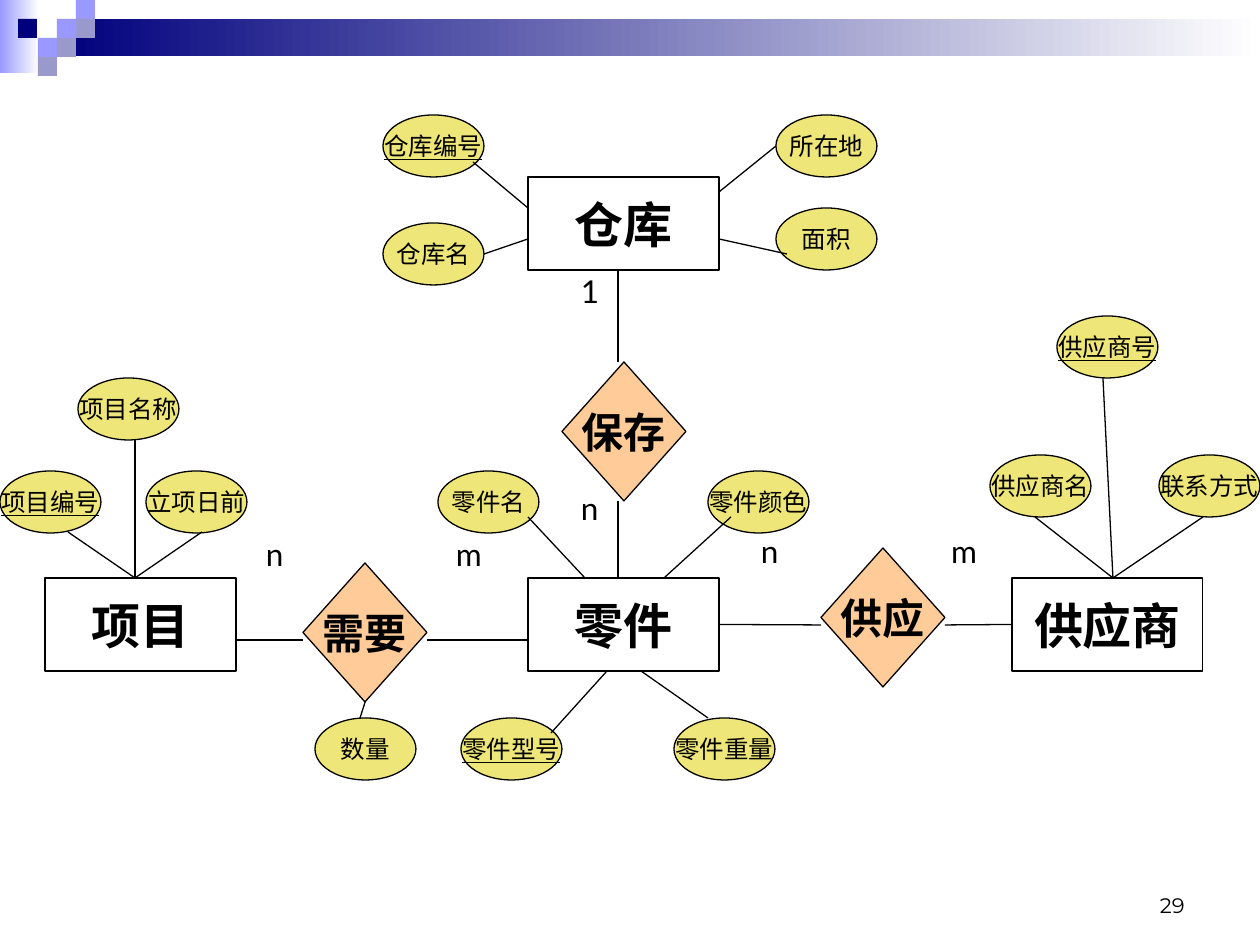
from dataclasses import dataclass

from lxml.etree import SubElement
from pptx import Presentation
from pptx.dml.color import RGBColor as RGB
from pptx.enum.shapes import MSO_CONNECTOR as Conn, MSO_SHAPE as Kind
from pptx.enum.text import MSO_ANCHOR as Anchor, MSO_AUTO_SIZE as Auto, PP_ALIGN as Align
from pptx.oxml.ns import qn
from pptx.util import Emu, Pt

SCALE = 914400 // 126


@dataclass(frozen=True)
class Theme:
    ink: str = "000000"
    paper: str = "FFFFFF"
    oval: str = "EEE678"
    diamond: str = "FFCC99"
    navy: str = "00007D"
    violet: str = "9999FF"
    slate: str = "9999CC"
    font: str = "Lato"
    page_font: str = "Montserrat"
    entity_size: int = 28
    link_size: int = 24
    label_size: int = 18
    oval_size: int = 14
    page_size: int = 12
    line: float = 0.75


THEME = Theme()
SQUARE = 19
OVAL = (101, 62)
DIAMOND = (124, 139)
ENTITY = (191, 93)

SQUARES = [
    (57, 19, THEME.violet), (76, 0, THEME.violet), (76, 19, THEME.slate),
    (38, 38, THEME.violet), (18, 19, THEME.navy), (57, 38, THEME.slate),
    (38, 57, THEME.slate),
]
ENTITIES = [("项目", 45, 578), ("仓库", 528, 177), ("零件", 528, 578), ("供应商", 1012, 578)]
LINKS = [("保存", 562, 362), ("供应", 821, 548), ("需要", 303, 563)]
KEYS = {"项目编号", "零件型号", "供应商号", "仓库编号"}
OVALS = [
    ("项目编号", 0, 471), ("项目名称", 78, 378), ("立项日前", 146, 471),
    ("零件名", 438, 471), ("零件颜色", 708, 471),
    ("零件型号", 461, 718), ("零件重量", 674, 718), ("数量", 315, 718),
    ("供应商名", 990, 455), ("供应商号", 1057, 316), ("联系方式", 1159, 455),
    ("仓库编号", 383, 115), ("仓库名", 383, 223), ("所在地", 776, 115), ("面积", 776, 208),
]
LABELS = [
    ("1", 581, 272, 18), ("n", 581, 489, 20), ("n", 266, 535, 20),
    ("m", 456, 535, 29), ("n", 761, 532, 20), ("m", 951, 532, 29),
]
LINES = [
    # relations
    (618, 362, 618, 270), (618, 501, 618, 578), (303, 640, 236, 640), (427, 640, 528, 640),
    # project
    (135, 440, 135, 578), (68, 532, 135, 578), (202, 532, 135, 578),
    # part
    (551, 733, 607, 671), (528, 517, 585, 578), (664, 578, 731, 517), (641, 671, 708, 718),
    # supplier
    (1103, 378, 1113, 578), (1035, 517, 1113, 578), (1113, 578, 1203, 517),
    # store
    (473, 162, 528, 208), (484, 254, 528, 239), (719, 192, 776, 146), (719, 239, 787, 254),
]


def px(*vals):
    return [Emu(val * SCALE) for val in vals]


def apply(item, form):
    for name, val in form.items():
        setattr(item, name, val)


def write(frame, text, size, align, font=THEME.font, **form):
    para = frame.paragraphs[0]
    para.alignment = align
    run = para.add_run()
    run.text = text
    apply(run.font, {"name": font, "size": Pt(size), **form})
    run.font.color.rgb = RGB.from_string(THEME.ink)


def tighten(frame, **form):
    """Clear the insets and keep the text on one line."""
    sides = ("left", "top", "right", "bottom")
    apply(frame, {f"margin_{side}": 0 for side in sides})
    apply(frame, {"word_wrap": False, **form})


def add_block(slide, box, color, fade=False):
    """Add an unlined rectangle, fading to paper on the right if asked."""
    block = slide.shapes.add_shape(Kind.RECTANGLE, *px(*box))
    block.shadow.inherit = False
    block.line.fill.background()
    if fade:
        block.fill.gradient()
        block.fill.gradient_angle = 0
        for stop, tone, pos in zip(block.fill.gradient_stops, (color, THEME.paper), (0, 1)):
            stop.color.rgb = RGB.from_string(tone)
            stop.position = pos
    else:
        block.fill.solid()
        block.fill.fore_color.rgb = RGB.from_string(color)


def add_node(slide, kind, box, color, text, size, **form):
    node = slide.shapes.add_shape(kind, *px(*box))
    node.shadow.inherit = False
    node.fill.solid()
    node.fill.fore_color.rgb = RGB.from_string(color)
    node.line.color.rgb = RGB.from_string(THEME.ink)
    node.line.width = Pt(THEME.line)
    tighten(node.text_frame, vertical_anchor=Anchor.MIDDLE)
    write(node.text_frame, text, size, Align.CENTER, **form)
    return node


def add_line(slide, *ends):
    line = slide.shapes.add_connector(Conn.STRAIGHT, *px(*ends))
    line.line.color.rgb = RGB.from_string(THEME.ink)
    line.line.width = Pt(THEME.line)
    SubElement(line._element.spPr, qn("a:effectLst"))
    return line


def add_label(slide, text, left, top, width):
    frame = slide.shapes.add_textbox(*px(left, top, width, 38)).text_frame
    tighten(frame, auto_size=Auto.SHAPE_TO_FIT_TEXT)
    write(frame, text, THEME.label_size, Align.LEFT)


def add_page(slide, text):
    frame = slide.shapes.add_textbox(*px(903, 861, 294, 63)).text_frame
    apply(frame, {"word_wrap": True, "vertical_anchor": Anchor.BOTTOM})
    write(frame, text, THEME.page_size, Align.RIGHT, THEME.page_font)


def add_banner(slide):
    add_block(slide, (0, 0, 39, 73), THEME.violet, fade=True)
    add_block(slide, (57, 19, 1203, 37), THEME.navy, fade=True)
    for left, top, color in SQUARES:
        add_block(slide, (left, top, SQUARE, SQUARE), color)


def main():
    deck = Presentation()
    deck.slide_width, deck.slide_height = px(1260, 945)
    slide = deck.slides.add_slide(deck.slide_layouts[6])
    add_banner(slide)
    add_page(slide, "29")

    add_line(slide, 370, 687, 360, 718)  # runs under the diamond
    for text, *spot in OVALS:
        add_node(slide, Kind.OVAL, (*spot, *OVAL), THEME.oval, text,
                 THEME.oval_size, underline=text in KEYS)
    for text, *spot in LINKS:
        add_node(slide, Kind.DIAMOND, (*spot, *DIAMOND), THEME.diamond, text,
                 THEME.link_size, bold=True)
    boxes = {
        text: add_node(slide, Kind.RECTANGLE, (*spot, *ENTITY), THEME.paper, text,
                       THEME.entity_size, bold=True)
        for text, *spot in ENTITIES
    }

    for ends in LINES:
        add_line(slide, *ends)
    add_line(slide, 719, 625, 821, 625).begin_connect(boxes["零件"], 3)
    add_line(slide, 945, 625, 1012, 625).end_connect(boxes["供应商"], 1)
    for label in LABELS:
        add_label(slide, *label)
    deck.save("out.pptx")


if __name__ == "__main__":
    main()
